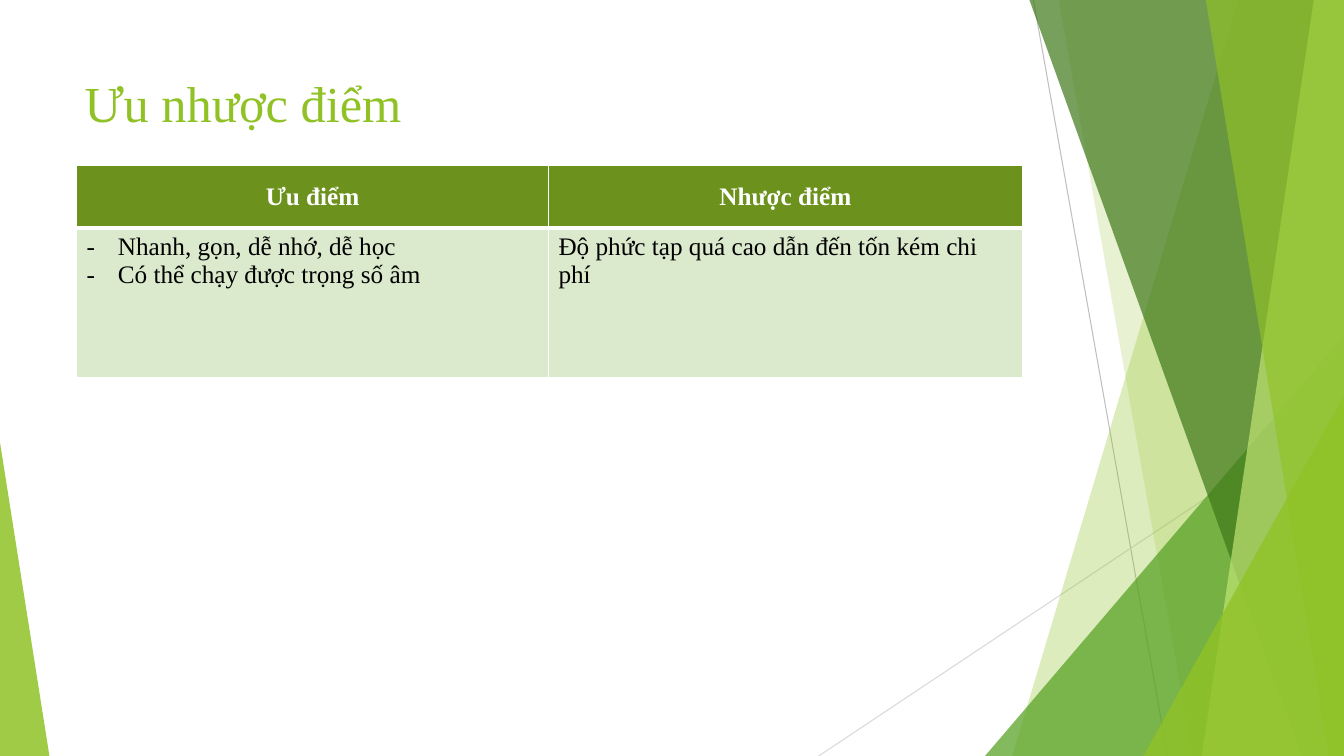
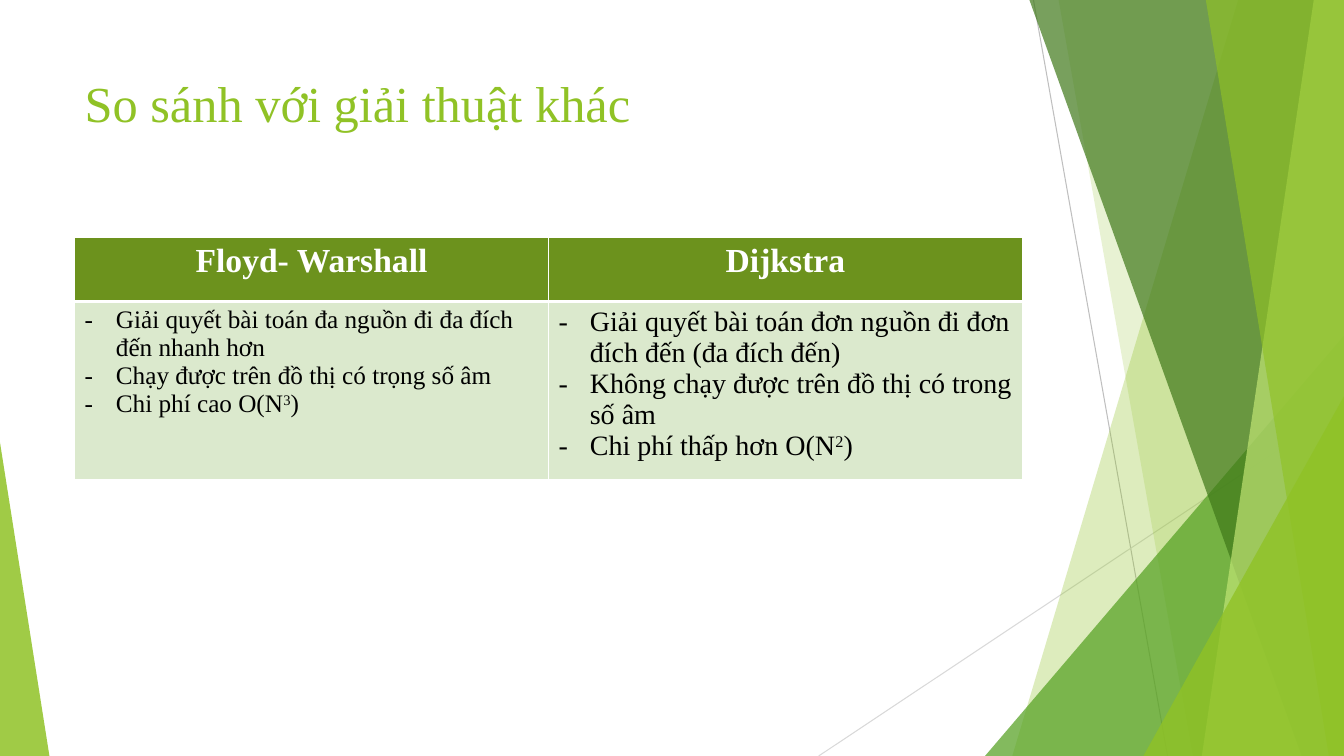
from lxml.etree import SubElement
from pptx import Presentation
from pptx.dml.color import RGBColor
from pptx.enum.shapes import MSO_CONNECTOR as Connector, MSO_SHAPE as Preset
from pptx.enum.text import MSO_ANCHOR as Anchor, PP_ALIGN as Align
from pptx.oxml.ns import qn
from pptx.util import Inches, Pt

WIDTH, HEIGHT = 13.33, 7.5
FONT = "Times New Roman"
COLORS = {
    "lime": "90C226", "green": "54A021", "forest": "3F7819", "pale": "C0E474",
    "header": "6C921D", "body": "DBE9CD", "white": "FFFFFF", "black": "000000",
    "gray": "BFBFBF", "light_gray": "D9D9D9",
}

# Thin lines: start, end, colour
RAYS = [
    ((10.25, 0), (11.58, HEIGHT), "gray"),
    ((WIDTH, 4.03), (8.12, HEIGHT), "light_gray"),
]
# Bands reach the right edge: top left x, bottom left x
# Corners are right triangles: left, top, width, side of the peak (0 left, 1 right)
# Both end with colour and opacity in percent
FACETS = [
    ("band", (12.28, 10.04), "lime", 30),
    ("band", (10.5, 11.83), "lime", 20),
    ("corner", (9.77, 3.33, 3.56, 1), "green", 72),
    ("band", (10.21, 12.91), "forest", 70),
    ("band", (13.03, 11.92), "pale", 70),
    ("band", (11.96, 13.18), "lime", 65),
    ("corner", (11.34, 3.93, 1.99, 1), "lime", 80),
    ("corner", (0, 4.39, 0.49, 0), "lime", 85),
]


def rgb(name):
    return RGBColor.from_string(COLORS[name])


def add_band(slide, top_x, bottom_x):
    builder = slide.shapes.build_freeform(Inches(top_x), 0)
    points = [(WIDTH, 0), (WIDTH, HEIGHT), (bottom_x, HEIGHT)]
    builder.add_line_segments([(Inches(x), Inches(y)) for x, y in points])
    return builder.convert_to_shape()


def add_corner(slide, left, top, width, peak):
    shape = slide.shapes.add_shape(
        Preset.ISOSCELES_TRIANGLE, Inches(left), Inches(top),
        Inches(width), Inches(HEIGHT - top))
    shape.adjustments[0] = peak
    return shape


def add_decoration(slide):
    for start, end, color in RAYS:
        ray = slide.shapes.add_connector(
            Connector.STRAIGHT, *(Inches(value) for value in start + end))
        ray.line.color.rgb = rgb(color)
        ray.line.width = Pt(0.75)
        SubElement(ray._element.spPr, qn("a:effectLst"))
    makers = {"band": add_band, "corner": add_corner}
    for kind, geometry, color, opacity in FACETS:
        shape = makers[kind](slide, *geometry)
        shape.shadow.inherit = False
        shape.line.fill.background()
        shape.fill.solid()
        shape.fill.fore_color.rgb = rgb(color)
        fill_color = next(shape._element.spPr.iter(qn("a:srgbClr")))
        SubElement(fill_color, qn("a:alpha"), val=str(opacity * 1000))


def add_run(paragraph, text, size, color, bold=False, superscript=False):
    run = paragraph.add_run()
    run.text = text
    run.font.name = FONT
    run.font.size = Pt(size)
    run.font.bold = bold
    run.font.color.rgb = rgb(color)
    if superscript:
        run._r.get_or_add_rPr().set("baseline", "30000")


def add_title(slide, text, left, top, width, height):
    box = slide.shapes.add_textbox(*map(Inches, (left, top, width, height)))
    frame = box.text_frame
    frame.word_wrap = True
    frame.vertical_anchor = Anchor.TOP
    add_run(frame.paragraphs[0], text, 36, "lime")


def add_dash(paragraph):
    properties = paragraph._p.get_or_add_pPr()
    properties.set("marL", str(Inches(0.31)))
    properties.set("indent", str(-Inches(0.31)))
    SubElement(properties, qn("a:buFont"), typeface=FONT)
    SubElement(properties, qn("a:buChar"), char="-")


def style_cell(cell, fill, top, bottom):
    """White borders (widths in points), then the fill."""
    properties = cell._tc.get_or_add_tcPr()
    for side, width in (("L", 1), ("R", 1), ("T", top), ("B", bottom)):
        line = SubElement(properties, qn(f"a:ln{side}"), w=str(Pt(width)))
        solid = SubElement(line, qn("a:solidFill"))
        SubElement(solid, qn("a:srgbClr"), val=COLORS["white"])
    cell.fill.solid()
    cell.fill.fore_color.rgb = rgb(fill)


def fill_body(cell, items, size, dashed):
    """Each item is a tuple of runs; every second run is superscript."""
    frame = cell.text_frame
    for index, item in enumerate(items):
        paragraph = frame.add_paragraph() if index else frame.paragraphs[0]
        if dashed:
            add_dash(paragraph)
        for position, text in enumerate(item):
            add_run(paragraph, text, size, "black", superscript=position % 2 == 1)


def add_comparison(slide, box, widths, heights, header_size, header_anchor, columns):
    frame = slide.shapes.add_table(2, len(columns), *map(Inches, box))
    table = frame.table
    table.horz_banding = False
    for row, height in zip(table.rows, heights):
        row.height = Inches(height)
    for index, (heading, items, size, dashed) in enumerate(columns):
        table.columns[index].width = Inches(widths[index])
        header, body = table.cell(0, index), table.cell(1, index)
        style_cell(header, "header", 1, 3)
        style_cell(body, "body", 3, 1)
        header.vertical_anchor = header_anchor
        paragraph = header.text_frame.paragraphs[0]
        paragraph.alignment = Align.CENTER
        add_run(paragraph, heading, header_size, "white", bold=True)
        fill_body(body, items, size, dashed)


def add_table_slide(presentation, title, **comparison):
    slide = presentation.slides.add_slide(presentation.slide_layouts[6])
    add_decoration(slide)
    add_title(slide, title, 0.74, 0.67, 9.4, 1.44)
    add_comparison(slide, **comparison)


def main():
    presentation = Presentation()
    presentation.slide_width = Inches(WIDTH)
    presentation.slide_height = Inches(HEIGHT)

    # Strengths and weaknesses
    add_table_slide(
        presentation, "Ưu nhược điểm",
        box=(0.76, 1.64, 9.38, 2.11), widths=(4.68, 4.7), heights=(0.62, 1.49),
        header_size=18, header_anchor=Anchor.MIDDLE,
        columns=[
            ("Ưu điểm", [("Nhanh, gọn, dễ nhớ, dễ học",),
                         ("Có thể chạy được trọng số âm",)], 18, True),
            ("Nhược điểm", [("Độ phức tạp quá cao dẫn đến tốn kém chi phí",)],
             18, False),
        ])

    # Comparison of algorithms
    add_table_slide(
        presentation, "So sánh với giải thuật khác",
        box=(0.74, 2.36, 9.4, 1.98), widths=(4.7, 4.7), heights=(0.63, 1.35),
        header_size=24, header_anchor=Anchor.TOP,
        columns=[
            ("Floyd- Warshall",
             [("Giải quyết bài toán đa nguồn đi đa đích đến nhanh hơn",),
              ("Chạy được trên đồ thị có trọng số âm",),
              ("Chi phí cao O(N", "3", ")")], 18, True),
            ("Dijkstra",
             [("Giải quyết bài toán đơn nguồn đi đơn đích đến (đa đích đến)",),
              ("Không chạy được trên đồ thị có trong số âm",),
              ("Chi phí thấp hơn O(N", "2", ")")], 20, True),
        ])

    presentation.save("out.pptx")


if __name__ == "__main__":
    main()
